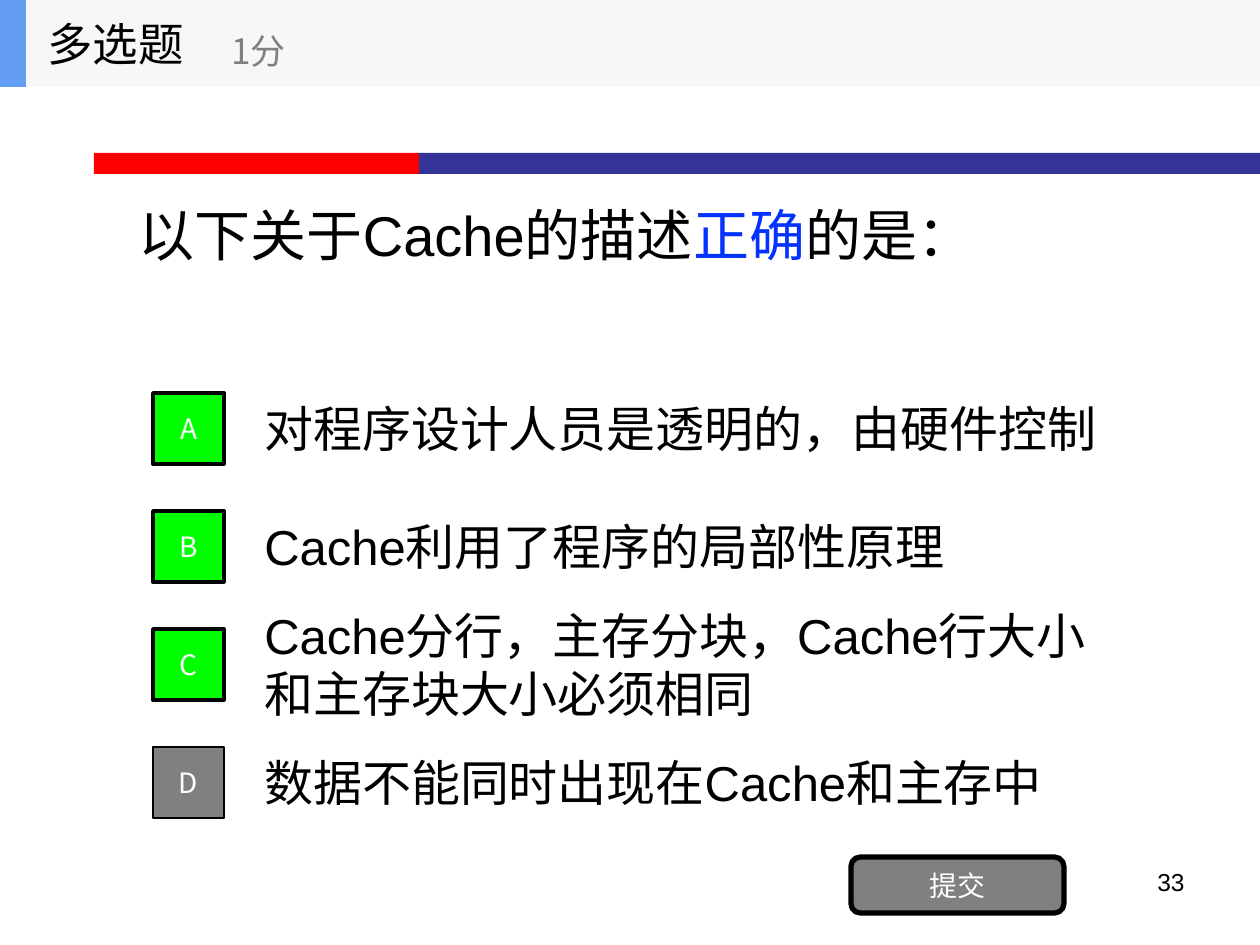
from lxml import etree
from pptx import Presentation
from pptx import util as u
from pptx.dml.color import RGBColor
from pptx.enum import shapes, text
from pptx.oxml import ns

PX = 914400 / 126
LATIN = "Arial"
CJK = "Noto Sans CJK SC"
COLORS = {
    "ink": "000000",
    "white": "FFFFFF",
    "gray": "808080",
    "right": "00FF00",
    "emphasis": "0432FF",
    "red": "FF0000",
    "navy": "333399",
    "header": "F6F7F8",
    "accent": "639EF4",
}
OPTIONS = [
    ("A", "对程序设计人员是透明的，由硬件控制", True),
    ("B", "Cache利用了程序的局部性原理", True),
    ("C", "Cache分行，主存分块，Cache行大小和主存块大小必须相同", True),
    ("D", "数据不能同时出现在Cache和主存中", False),
]


def emu(*lengths):
    return [u.Emu(round(length * PX)) for length in lengths]


def rgb(name):
    return RGBColor.from_string(COLORS[name])


def write(holder, runs, size, font=LATIN, color="ink",
          align=text.PP_ALIGN.LEFT, anchor=text.MSO_ANCHOR.MIDDLE):
    frame = holder.text_frame
    frame.word_wrap = True
    frame.auto_size = text.MSO_AUTO_SIZE.NONE
    frame.vertical_anchor = anchor
    paragraph = frame.paragraphs[0]
    paragraph.alignment = align
    for words, run_color in [(runs, color)] if isinstance(runs, str) else runs:
        run = paragraph.add_run()
        run.text = words
        run.font.size = u.Pt(size)
        run.font.name = font
        run.font.color.rgb = rgb(run_color)
        east_asian = etree.SubElement(run.font._element, ns.qn("a:ea"))
        east_asian.set("typeface", CJK)


def add_text(slide, box, words, size, **style):
    write(slide.shapes.add_textbox(*emu(*box)), words, size, **style)


def add_block(slide, box, fill, line=0, kind=shapes.MSO_SHAPE.RECTANGLE):
    block = slide.shapes.add_shape(kind, *emu(*box))
    block.shadow.inherit = False
    block.fill.solid()
    block.fill.fore_color.rgb = rgb(fill)
    if line:
        block.line.color.rgb = rgb("ink")
        block.line.width = u.Pt(line)
    else:
        block.line.fill.background()
    return block


def add_rule(slide, left, top, width, height):
    red_width = 325
    add_block(slide, (left, top, red_width, height), "red")
    add_block(slide, (left + red_width, top, width - red_width, height), "navy")


def add_question(slide, *box):
    question = slide.shapes.title
    question.left, question.top, question.width, question.height = emu(*box)
    write(question, [("以下关于Cache的描述", "ink"), ("正确", "emphasis"),
                     ("的是：", "ink")], 32)


def add_options(slide, left, top, width, row_height, pitch):
    key_size, text_offset = 71, 99
    for row, (letter, answer, correct) in enumerate(OPTIONS):
        row_top = top + row * pitch
        add_text(slide, (left + text_offset, row_top, width - text_offset, row_height),
                 answer, 28)
        key = add_block(slide, (left, row_top + 9, key_size, key_size),
                        "right" if correct else "gray", 2 if correct else 1)
        write(key, letter, 16, font=CJK, color="white", align=text.PP_ALIGN.CENTER)


def add_submit(slide, *box):
    submit = add_block(slide, box, "gray", 3, shapes.MSO_SHAPE.ROUNDED_RECTANGLE)
    write(submit, "提交", 16, font=CJK, color="white", align=text.PP_ALIGN.CENTER)


def add_header(slide, left, top, width, height):
    add_block(slide, (left, top, width, height), "header")
    add_block(slide, (left, top, 26, height), "accent")
    add_text(slide, (left + 35, top, 262, height), "多选题", 26, font=CJK)
    add_text(slide, (left + 219, top + 15, 315, 71), "1分", 20, font=CJK, color="gray")


def main():
    deck = Presentation()
    deck.slide_width, deck.slide_height = emu(1260, 945)
    slide = deck.slides.add_slide(deck.slide_layouts[5])
    add_rule(slide, 94, 153, 1166, 21)
    add_question(slide, 126, 87, 1008, 295)
    add_options(slide, 153, 384, 981, 88, 118)
    add_submit(slide, 851, 857, 213, 56)
    add_text(slide, (903, 861, 294, 66), "33", 14,
             align=text.PP_ALIGN.RIGHT, anchor=text.MSO_ANCHOR.TOP)
    add_header(slide, 0, 0, 1260, 87)
    deck.save("out.pptx")


if __name__ == "__main__":
    main()
